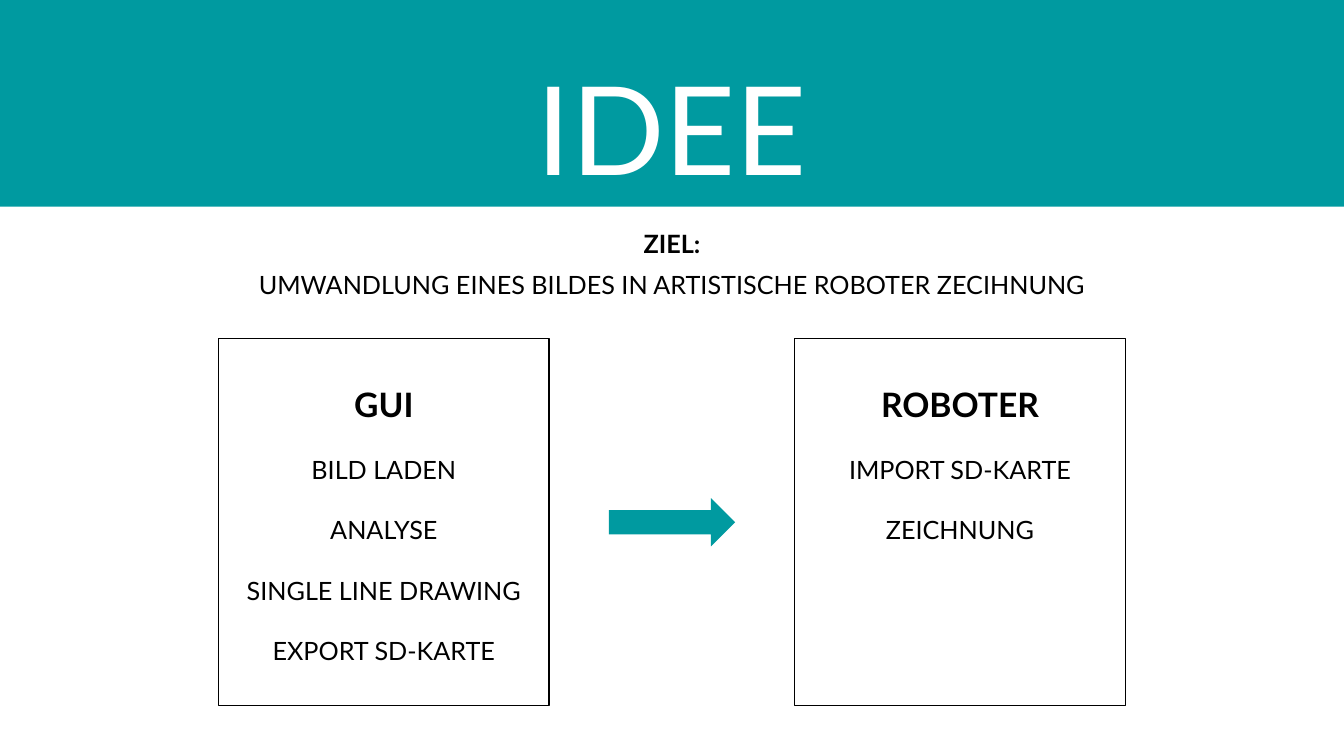
from dataclasses import dataclass

from pptx import Presentation
from pptx.dml.color import RGBColor
from pptx.enum import shapes, text
from pptx.util import Cm, Pt


@dataclass(frozen=True)
class Theme:
    font: str = "Lato"
    teal: str = "009AA0"
    white: str = "FFFFFF"
    black: str = "000000"
    title_size: float = 88
    heading_size: float = 24
    body_size: float = 18
    title_spacing: float = 0.9
    goal_gap: float = 10
    step_gap: float = 21.6


class IdeaSlide:
    """Draws the elements of one slide in a shared style."""

    def __init__(self, presentation, theme):
        self.theme = theme
        self.slide = presentation.slides.add_slide(presentation.slide_layouts[6])

    def add_shape(self, kind, left, top, width, height, fill, line=None):
        shape = self.slide.shapes.add_shape(
            kind, Cm(left), Cm(top), Cm(width), Cm(height))
        shape.shadow.inherit = False
        shape.fill.solid()
        shape.fill.fore_color.rgb = RGBColor.from_string(fill)
        if line:
            shape.line.color.rgb = RGBColor.from_string(line)
            shape.line.width = Pt(1)
        else:
            shape.line.fill.background()
        return shape

    def set_lines(self, frame, lines, size, color, gap=0, spacing=1.0):
        frame.word_wrap = True
        frame.text = "\n".join(lines)
        for index, paragraph in enumerate(frame.paragraphs):
            paragraph.alignment = text.PP_ALIGN.CENTER
            paragraph.line_spacing = spacing
            paragraph.space_before = Pt(gap if index else 0)
            font = paragraph.runs[0].font
            font.name = self.theme.font
            font.size = Pt(size)
            font.color.rgb = RGBColor.from_string(color)
        return frame.paragraphs[0].runs[0].font

    def banner(self, title, width, height):
        theme = self.theme
        shape = self.add_shape(
            shapes.MSO_SHAPE.RECTANGLE, 0, 0, width, height, theme.teal)
        shape.text_frame.vertical_anchor = text.MSO_ANCHOR.BOTTOM
        self.set_lines(shape.text_frame, [title], theme.title_size, theme.white,
                       spacing=theme.title_spacing)

    def goal(self, lines, left, top, width, height):
        theme = self.theme
        box = self.slide.shapes.add_textbox(
            Cm(left), Cm(top), Cm(width), Cm(height))
        heading = self.set_lines(box.text_frame, lines, theme.body_size, theme.black,
                                 theme.goal_gap, theme.title_spacing)
        heading.bold = True

    def panel(self, heading, steps, left, top, width, height):
        theme = self.theme
        shape = self.add_shape(shapes.MSO_SHAPE.RECTANGLE, left, top, width, height,
                               theme.white, theme.black)
        frame = shape.text_frame
        frame.vertical_anchor = text.MSO_ANCHOR.TOP
        frame.margin_top = Cm(1.14)
        font = self.set_lines(frame, [heading, *steps], theme.body_size, theme.black,
                              theme.step_gap)
        font.size = Pt(theme.heading_size)
        font.bold = True

    def arrow(self, left, top, width, height):
        self.add_shape(shapes.MSO_SHAPE.RIGHT_ARROW, left, top, width, height,
                       self.theme.teal)


def main():
    slide_width, slide_height = 33.87, 19.05
    panel_left, panel_top, panel_width, panel_height = 5.51, 8.53, 8.33, 9.25
    goal_width, arrow_width = 23.7, 3.18
    panels = [
        ("GUI", ["BILD LADEN", "ANALYSE", "SINGLE LINE DRAWING", "EXPORT SD-KARTE"]),
        ("ROBOTER", ["IMPORT SD-KARTE", "ZEICHNUNG"]),
    ]

    presentation = Presentation()
    presentation.slide_width = Cm(slide_width)
    presentation.slide_height = Cm(slide_height)
    slide = IdeaSlide(presentation, Theme())

    slide.banner("IDEE", slide_width, 5.21)
    slide.goal(["ZIEL:", "UMWANDLUNG EINES BILDES IN ARTISTISCHE ROBOTER ZECIHNUNG"],
               (slide_width - goal_width) / 2, 5.72, goal_width, 2.62)
    panel_step = slide_width - 2 * panel_left - panel_width
    for index, (heading, steps) in enumerate(panels):
        slide.panel(heading, steps, panel_left + index * panel_step, panel_top,
                    panel_width, panel_height)
    slide.arrow((slide_width - arrow_width) / 2, 12.55, arrow_width, 1.22)

    presentation.save("out.pptx")


if __name__ == "__main__":
    main()
